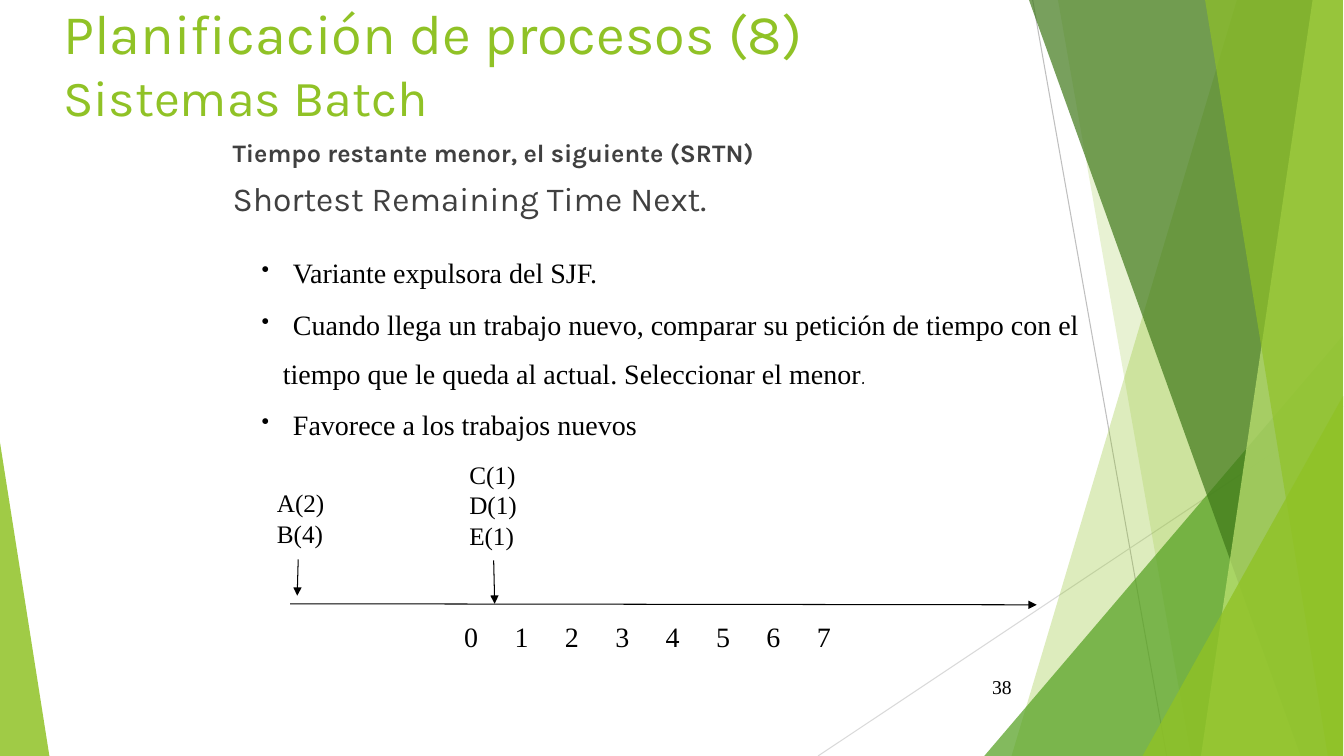
from lxml.etree import SubElement
from pptx import Presentation
from pptx.dml.color import RGBColor
from pptx.enum.shapes import MSO_CONNECTOR as Connector, MSO_SHAPE as Shape
from pptx.enum.text import MSO_ANCHOR as Anchor, PP_ALIGN as Align
from pptx.oxml.ns import qn
from pptx.util import Pt

PX = 9144  # 100 px to the inch
WIDTH, HEIGHT = 1334, 750
RIGHT = 1333
COLOURS = {"lime": "90C226", "green": "54A021", "forest": "3F7819", "pale": "C0E474",
           "grey": "BFBFBF", "mist": "D9D9D9", "body": "404040", "black": "000000"}
SERIF = {"name": "Times New Roman", "color": "black"}
KARLA = {"name": "Karla", "color": "body"}


def add_text(left, top, width, height, lines, wrap=True, anchor=Anchor.TOP):
    """Each line is (spans, paragraph format); each span is (text, font format)."""
    box = page.shapes.add_textbox(left * PX, top * PX, width * PX, height * PX)
    frame = box.text_frame
    frame.word_wrap, frame.vertical_anchor = wrap, anchor
    for number, (spans, layout) in enumerate(lines):
        para = frame.add_paragraph() if number else frame.paragraphs[0]
        for name, value in layout.items():
            if name != "space_before" or number:
                setattr(para, name, value)
        for text, style in spans:
            if text == "\n":
                para.add_line_break()
                continue
            span = para.add_run()
            span.text = text
            for name, value in style.items():
                if name == "color":
                    span.font.color.rgb = RGBColor.from_string(COLOURS[value])
                else:
                    setattr(span.font, name, value)
    return frame


def add_line(start, end, colour, arrow=False):
    line = page.shapes.add_connector(Connector.STRAIGHT, *(v * PX for v in start + end))
    line.line.width = Pt(0.75)
    line.line.color.rgb = RGBColor.from_string(COLOURS[colour])
    if arrow:
        SubElement(line.line._get_or_add_ln(), qn("a:tailEnd"), type="triangle")
    SubElement(line._element.spPr, qn("a:effectLst"))


deck = Presentation()
deck.slide_width, deck.slide_height = WIDTH * PX, HEIGHT * PX
page = deck.slides.add_slide(deck.slide_layouts[6])

# Thin background lines
add_line((1025, 0), (1158, 750), "grey")
add_line((1333, 403), (812, 750), "mist")

# Green facets: a band has its top-left and bottom-left x,
# a triangle its left, top, width and apex side
facets = [((1228, 1004), "lime", 30), ((1050, 1182), "lime", 20),
          ((977, 333, 356, 1), "green", 72), ((1021, 1291), "forest", 70),
          ((1303, 1192), "pale", 70), ((1196, 1318), "lime", 65),
          ((1134, 393, 199, 1), "lime", 80), ((0, 439, 49, 0), "lime", 85)]
for places, colour, opacity in facets:
    if len(places) == 2:
        top_x, bottom_x = places
        outline = page.shapes.build_freeform(top_x, -1, scale=PX)
        outline.add_line_segments([(RIGHT, -1), (RIGHT, HEIGHT), (bottom_x, HEIGHT)])
        facet = outline.convert_to_shape()
    else:
        left, top, width, apex = places
        facet = page.shapes.add_shape(Shape.ISOSCELES_TRIANGLE, left * PX, top * PX,
                                      width * PX, (HEIGHT - top) * PX)
        facet.adjustments[0] = apex
    facet.shadow.inherit = False
    facet.line.fill.background()
    facet.fill.solid()
    facet.fill.fore_color.rgb = RGBColor.from_string(COLOURS[colour])
    tint = facet._element.spPr.find(qn("a:solidFill"))[0]
    SubElement(tint, qn("a:alpha"), val=str(opacity * 1000))

# Title and subtitle
heading = KARLA | {"color": "lime"}
add_text(53, -10, 940, 144, [
    ([("Planificación de procesos (8)", heading | {"size": Pt(40)}), ("\n", {}),
      ("Sistemas Batch", heading | {"size": Pt(36)})], {})], anchor=Anchor.MIDDLE)
spacing = {"line_spacing": 0.9, "space_before": Pt(10)}
add_text(221, 135, 925, 92, [
    ([("Tiempo restante menor, el siguiente (SRTN)",
       KARLA | {"size": Pt(18), "bold": True})], spacing),
    ([("Shortest Remaining Time Next.", KARLA | {"size": Pt(24)})], spacing)])

# Slide number
add_text(939, 661, 75, 40, [([("38", SERIF | {"size": Pt(14)})], {"alignment": Align.RIGHT})],
         anchor=Anchor.MIDDLE)

# Bullet list; the third line carries on the second bullet
large = SERIF | {"size": Pt(20)}
bulleted, carried = {"space_before": Pt(12.5)}, {"space_before": Pt(11.2)}
points = add_text(250, 249, 853, 194, [
    ([("Variante expulsora del SJF.", large)], bulleted),
    ([("Cuando llega un trabajo nuevo, comparar su petición de tiempo con el", large)], bulleted),
    ([("tiempo que le queda al actual. Seleccionar el menor", large),
      (".", SERIF | {"name": "Comic Neue", "size": Pt(18)})], carried),
    ([("Favorece a los trabajos nuevos", large)], bulleted)])
for number, para in enumerate(points.paragraphs):
    props = para._p.get_or_add_pPr()
    if number == 2:
        props.set("marL", str(21 * PX))
        continue
    props.set("marL", str(31 * PX))
    props.set("indent", str(-31 * PX))
    bullet_colour = SubElement(props, qn("a:buClr"))
    SubElement(bullet_colour, qn("a:srgbClr"), val=COLOURS["black"])
    SubElement(props, qn("a:buSzPct"), val="80000")
    SubElement(props, qn("a:buChar"), char="•")

# Time axis with its tab-spaced marks
add_line((288, 599), (1029, 600), "black", arrow=True)
marks = add_text(451, 610, 384, 44, [([("\t".join(map(str, range(8))), large)], {})], wrap=False)
tabs = SubElement(marks.paragraphs[0]._p.get_or_add_pPr(), qn("a:tabLst"))
for step in range(1, 8):
    SubElement(tabs, qn("a:tab"), pos=str(step * 50 * PX), algn="l")

# Job arrivals
add_line((296, 555), (295, 591), "black", arrow=True)
add_line((490, 556), (491, 599), "black", arrow=True)
for left, top, height, jobs in [(265, 479, 70, ["A(2)", "B(4)"]),
                                (456, 451, 100, ["C(1)", "D(1)", "E(1)"])]:
    add_text(left, top, 67, height,
             [([(job, SERIF | {"size": Pt(18)})], {}) for job in jobs], wrap=False)

deck.save("out.pptx")
